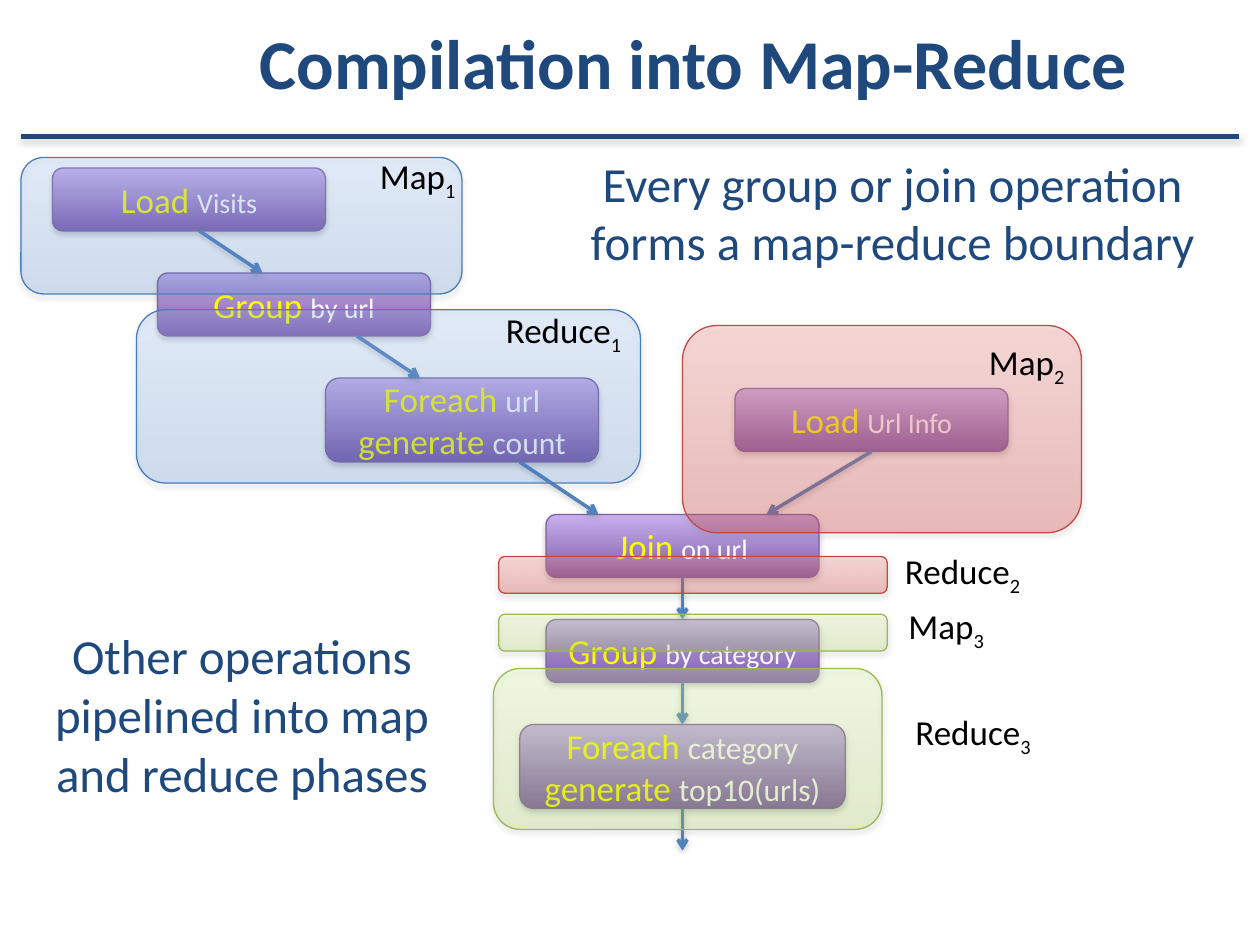
from dataclasses import dataclass

from lxml.etree import SubElement
from pptx import Presentation
from pptx.dml.color import RGBColor
from pptx.enum.shapes import MSO_CONNECTOR, MSO_SHAPE
from pptx.enum.text import MSO_ANCHOR, PP_ALIGN
from pptx.oxml.ns import qn
from pptx.util import Pt

FONT = "Calibri"
COLORS = {
    "navy": "1F497D",
    "black": "000000",
    "white": "FFFFFF",
    "keyword": "FFFF00",
    "arrow": "4F81BD",
    "shadow": "808080",
}


@dataclass(frozen=True)
class Theme:
    top: str
    bottom: str
    edge: str
    opacity: int = 100


@dataclass(frozen=True)
class Box:
    left: float
    top: float
    width: float
    height: float


@dataclass(frozen=True)
class Stage:
    box: Box
    lines: tuple[tuple[str, str], ...]
    detail_size: int = 16


@dataclass(frozen=True)
class Arrow:
    start: tuple[float, float]
    end: tuple[float, float]


@dataclass(frozen=True)
class Phase:
    box: Box
    theme: Theme
    name: str
    number: int
    label: Box
    wrap: bool = True


@dataclass(frozen=True)
class Remark:
    box: Box
    words: str


PURPLE = Theme("C8B0ED", "7F5BAB", "7D60A0")
BLUE = Theme("9BC1FF", "3F80CD", "4A7EBB", 21)
RED = Theme("FF9A99", "D1403C", "BE4B48", 31)
GREEN = Theme("DCFFA0", "A0CA4A", "98B954", 24)

STAGES = (
    Stage(Box(30, 96, 156, 36), (("Load ", "Visits"),)),
    Stage(Box(90, 156, 156, 36), (("Group ", "by url"),)),
    Stage(Box(186, 216, 156, 48), (("Foreach ", "url"), ("generate ", "count")), 18),
    Stage(Box(420, 222, 156, 36), (("Load ", "Url Info"),)),
    Stage(Box(312, 294, 156, 36), (("Join ", "on url"),)),
    Stage(Box(312, 354, 156, 36), (("Group ", "by category"),)),
    Stage(Box(297, 414, 186, 48), (("Foreach ", "category"), ("generate ", "top10(urls)")), 18),
)
ARROWS = (
    Arrow((114, 132), (150, 156)),
    Arrow((204, 192), (240, 216)),
    Arrow((297, 264), (342, 294)),
    Arrow((498, 258), (438, 294)),
    Arrow((390, 330), (390, 354)),
    Arrow((390, 390), (390, 414)),
    Arrow((390, 462), (390, 486)),
)
PHASES = (
    Phase(Box(12, 90, 252, 78), BLUE, "Map", 1, Box(210, 85, 59, 31.5), False),
    Phase(Box(78, 177, 288, 99), BLUE, "Reduce", 1, Box(282, 173, 91, 31.5)),
    Phase(Box(390, 186, 228, 118.5), RED, "Map", 2, Box(558, 191, 70, 31.5)),
    Phase(Box(285, 318, 222, 21), RED, "Reduce", 2, Box(510, 310.5, 104, 31.5)),
    Phase(Box(285, 351, 222, 21), GREEN, "Map", 3, Box(512, 342, 70, 31.5)),
    Phase(Box(282, 382, 222, 92), GREEN, "Reduce", 3, Box(516, 402.5, 92, 31.5)),
)
REMARKS = (
    Remark(Box(318, 84, 384, 75), "Every group or join operation forms a map-reduce boundary"),
    Remark(Box(0, 354, 276.5, 109), "Other operations pipelined into map and reduce phases"),
)


def rgb(value: str) -> RGBColor:
    """Turn a hex string into a colour."""
    return RGBColor.from_string(value)


def frame(box: Box) -> tuple[Pt, ...]:
    """Give the box lengths in points."""
    return Pt(box.left), Pt(box.top), Pt(box.width), Pt(box.height)


def add_shadow(item, opacity: int, distance: float) -> None:
    """Put a soft shadow straight below an item."""
    effects = SubElement(item._element.spPr, qn("a:effectLst"))
    shadow = SubElement(effects, qn("a:outerShdw"), blurRad=str(Pt(3.1)),
                        dist=str(Pt(distance)), dir="5400000", rotWithShape="0")
    color = SubElement(shadow, qn("a:srgbClr"), val=COLORS["shadow"])
    SubElement(color, qn("a:alpha"), val=str(opacity * 1000))


def add_panel(slide, box: Box, theme: Theme):
    """Draw a rounded panel with a vertical gradient."""
    panel = slide.shapes.add_shape(MSO_SHAPE.ROUNDED_RECTANGLE, *frame(box))
    panel.adjustments[0] = 0.167
    panel.fill.gradient()
    panel.fill.gradient_angle = 270
    for stop, color in zip(panel.fill.gradient_stops, (theme.top, theme.bottom)):
        stop.color.rgb = rgb(color)
    if theme.opacity < 100:
        for color in panel._element.spPr.findall(".//" + qn("a:srgbClr")):
            SubElement(color, qn("a:alpha"), val=str(theme.opacity * 1000))
    panel.line.color.rgb = rgb(theme.edge)
    panel.line.width = Pt(0.75)
    add_shadow(panel, 35, 1.8)
    return panel


def add_line(slide, start: tuple, end: tuple, color: str, width: float):
    """Draw a straight line."""
    line = slide.shapes.add_connector(MSO_CONNECTOR.STRAIGHT, *map(Pt, start + end))
    line.line.color.rgb = rgb(COLORS[color])
    line.line.width = Pt(width)
    return line


def add_text(slide, box: Box, words: str, size: int, color: str, wrap: bool = True):
    """Write one paragraph in a text box."""
    text_box = slide.shapes.add_textbox(*frame(box))
    text_box.text_frame.word_wrap = wrap
    paragraph = text_box.text_frame.paragraphs[0]
    paragraph.add_run().text = words
    paragraph.font.name = FONT
    paragraph.font.size = Pt(size)
    paragraph.font.color.rgb = rgb(COLORS[color])
    return text_box.text_frame


def add_stage(slide, stage: Stage) -> None:
    """Draw one step of the query plan."""
    text = add_panel(slide, stage.box, PURPLE).text_frame
    text.word_wrap = True
    text.vertical_anchor = MSO_ANCHOR.MIDDLE
    for index, line in enumerate(stage.lines):
        paragraph = text.add_paragraph() if index else text.paragraphs[0]
        paragraph.alignment = PP_ALIGN.CENTER
        paragraph.font.name = FONT
        styles = ((20, "keyword"), (stage.detail_size, "white"))
        for words, (size, color) in zip(line, styles):
            run = paragraph.add_run()
            run.text = words
            run.font.size = Pt(size)
            run.font.color.rgb = rgb(COLORS[color])


def add_arrow(slide, arrow: Arrow) -> None:
    """Draw the flow from one step to the next."""
    flow = add_line(slide, arrow.start, arrow.end, "arrow", 2)
    SubElement(flow._element.spPr.find(qn("a:ln")), qn("a:tailEnd"), type="arrow")
    add_shadow(flow, 38, 1.6)


def add_phase(slide, phase: Phase) -> None:
    """Cover the steps of a phase and label it."""
    add_panel(slide, phase.box, phase.theme)
    label = add_text(slide, phase.label, phase.name, 20, "black", phase.wrap)
    number = label.paragraphs[0].add_run()
    number.text = str(phase.number)
    number.font._element.set("baseline", "-25000")


def main() -> None:
    """Build the slide."""
    deck = Presentation()
    deck.slide_width, deck.slide_height = Pt(720), Pt(540)
    slide = deck.slides.add_slide(deck.slide_layouts[6])
    add_shadow(add_line(slide, (708, 78), (12, 78), "navy", 3), 35, 1.8)
    title = add_text(slide, Box(114, 3.75, 600, 62.5), "Compilation into Map-Reduce", 40, "navy")
    title.paragraphs[0].font.bold = True
    title.margin_left = Pt(34.2)
    title.vertical_anchor = MSO_ANCHOR.MIDDLE
    for stage in STAGES:
        add_stage(slide, stage)
    for arrow in ARROWS:
        add_arrow(slide, arrow)
    for phase in PHASES:
        add_phase(slide, phase)
    for remark in REMARKS:
        text = add_text(slide, remark.box, remark.words, 28, "navy")
        text.paragraphs[0].alignment = PP_ALIGN.CENTER
    deck.save("out.pptx")


if __name__ == "__main__":
    main()
